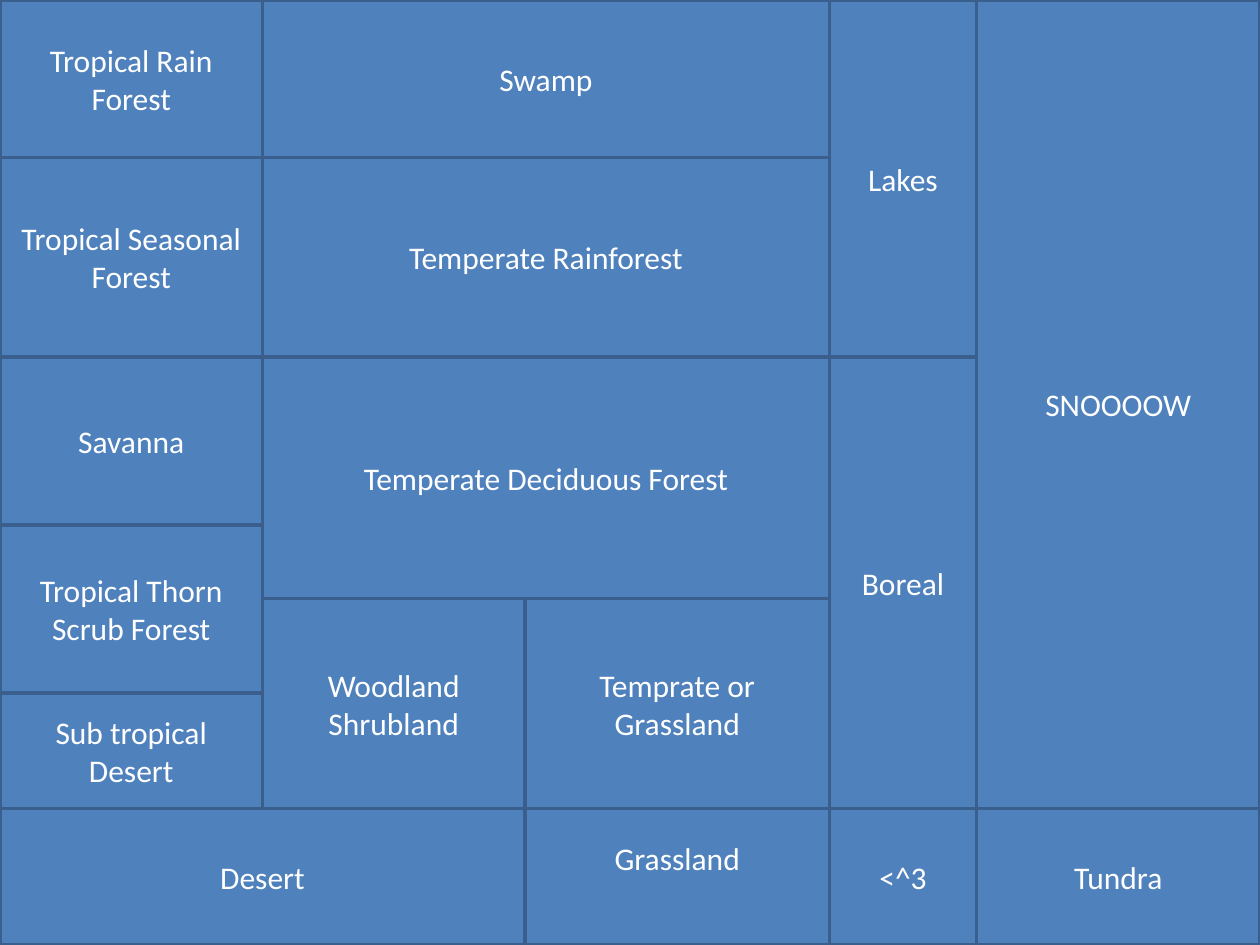
from pptx import Presentation
from pptx.dml.color import RGBColor
from pptx.enum.shapes import MSO_SHAPE
from pptx.enum.text import MSO_ANCHOR, PP_ALIGN
from pptx.util import Emu, Pt

RECT = MSO_SHAPE.RECTANGLE
MIDDLE = MSO_ANCHOR.MIDDLE
CENTER = PP_ALIGN.CENTER

BLUE = RGBColor(0x4F, 0x81, 0xBD)
DARK_BLUE = RGBColor(0x3A, 0x5F, 0x8C)
WHITE = RGBColor(0xFF, 0xFF, 0xFF)

PX = 9525  # EMU, 96 px to the inch
X = (0, 200, 400, 632, 744, 960)
Y = (0, 120, 272, 400, 456, 528, 616, 720)
GRASSLAND_BOTTOM_INSET = 34  # lifts the label by half a line

# name, (first, last) column edge, (first, last) row edge
BIOMES = [
    ("Tropical Rain Forest", (0, 1), (0, 1)),
    ("Tropical Seasonal Forest", (0, 1), (1, 2)),
    ("Savanna", (0, 1), (2, 3)),
    ("Tropical Thorn Scrub Forest", (0, 1), (3, 5)),
    ("Sub tropical Desert", (0, 1), (5, 6)),
    ("Desert", (0, 2), (6, 7)),
    ("Temperate Rainforest", (1, 3), (1, 2)),
    ("Temperate Deciduous Forest", (1, 3), (2, 4)),
    ("Woodland Shrubland", (1, 2), (4, 6)),
    ("Temprate or Grassland", (2, 3), (4, 6)),
    ("Grassland", (2, 3), (6, 7)),
    ("Boreal", (3, 4), (2, 6)),
    ("<^3", (3, 4), (6, 7)),
    ("Tundra", (4, 5), (6, 7)),
    ("SNOOOOW", (4, 5), (0, 6)),
    ("Swamp", (1, 3), (0, 1)),
    ("Lakes", (3, 4), (0, 2)),
]
FONT = {"name": "Calibri", "size": Pt(18)}


def px(n):
    return Emu(n * PX)


def add_biome(slide, name, cols, rows):
    left, right = (X[i] for i in cols)
    top, bottom = (Y[i] for i in rows)
    sp = slide.shapes.add_shape(
        RECT, px(left), px(top), px(right - left), px(bottom - top))
    sp.shadow.inherit = False
    sp.fill.solid()
    sp.fill.fore_color.rgb = BLUE
    sp.line.color.rgb = DARK_BLUE
    sp.line.width = Pt(2)

    tf = sp.text_frame
    tf.word_wrap = True
    tf.vertical_anchor = MIDDLE
    p = tf.paragraphs[0]
    p.alignment = CENTER
    r = p.add_run()
    r.text = name
    for key, value in FONT.items():
        setattr(r.font, key, value)
    r.font.color.rgb = WHITE
    return sp


def main():
    prs = Presentation()
    prs.slide_width, prs.slide_height = px(X[-1]), px(Y[-1])
    s = prs.slides.add_slide(prs.slide_layouts[6])
    for name, cols, rows in BIOMES:
        sp = add_biome(s, name, cols, rows)
        if name == "Grassland":
            sp.text_frame.margin_bottom = px(GRASSLAND_BOTTOM_INSET)
    prs.save("out.pptx")


if __name__ == "__main__":
    main()
